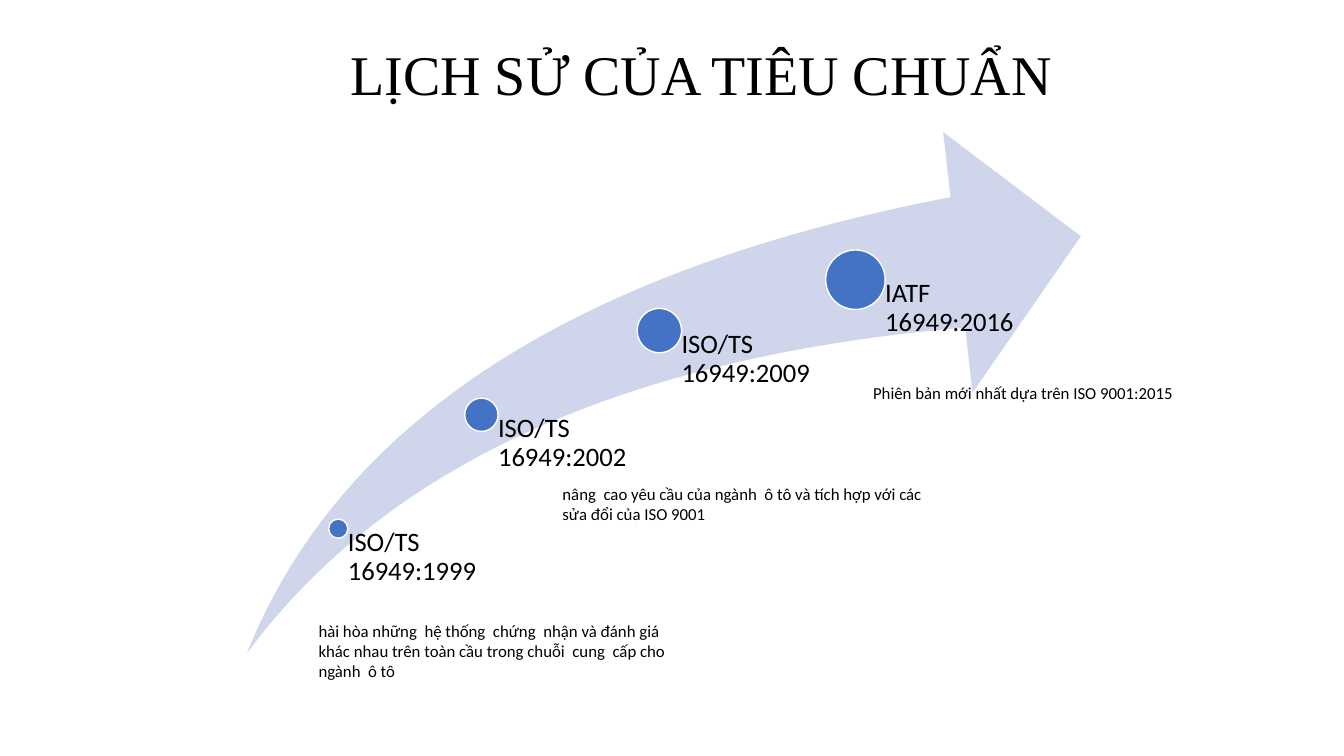
"""Build a slide on the history of the automotive quality standard."""
from pptx import Presentation
from pptx.dml.color import RGBColor as RGB
from pptx.enum.shapes import MSO_SHAPE as Shape
from pptx.enum.text import MSO_ANCHOR as Anchor, MSO_AUTO_SIZE as Fit, PP_ALIGN as Align
from pptx.util import Inches, Pt

BLACK = RGB(0x00, 0x00, 0x00)
WHITE = RGB(0xFF, 0xFF, 0xFF)
BLUE = RGB(0x44, 0x72, 0xC4)
PALE = RGB(0xCF, 0xD5, 0xEA)

deck = Presentation()
deck.slide_width, deck.slide_height = Inches(13.33), Inches(7.5)
COL, ROW = deck.slide_width / 100, deck.slide_height / 100


def area(left, top, width, height):
    """Turn percentages of the slide into lengths."""
    return int(left * COL), int(top * ROW), int(width * COL), int(height * ROW)


def write(frame, text, size, font="Calibri"):
    """Fill a text frame with one paragraph and return it."""
    frame.word_wrap = True
    frame.text = text
    para = frame.paragraphs[0]
    para.font.size, para.font.name = Pt(size), font
    para.font.color.rgb = BLACK
    return para


slide = deck.slides.add_slide(deck.slide_layouts[5])
title = slide.shapes.title
title.left, title.top, title.width, title.height = area(7.88, 5.47, 88.6, 9.47)
head = write(title.text_frame, "LỊCH SỬ CỦA TIÊU CHUẨN", 40, "Times New Roman")
head.alignment, head.line_spacing = Align.CENTER, 0.9
title.text_frame.vertical_anchor = Anchor.BOTTOM
title.text_frame.auto_size = Fit.NONE

group = slide.shapes.add_group_shape().shapes
base = 86.4
swoosh = group.add_shape(Shape.SWOOSH_ARROW, *area(18.38, 17.47, 62.04, base - 17.47))
swoosh.adjustments[0] = swoosh.adjustments[1] = 0.25
swoosh.shadow.inherit = False
swoosh.fill.solid()
swoosh.fill.fore_color.rgb = PALE
swoosh.line.fill.background()

stages = [
    ("ISO/TS 16949:1999", 25.17, 69.93, 1.43, 10.58),
    ("ISO/TS 16949:2002", 35.82, 54.87, 2.48, 13.05),
    ("ISO/TS 16949:2009", 49.06, 43.73, 3.3, 13.05),
    ("IATF 16949:2016", 63.65, 37, 4.43, 13.05),
]
for name, mid, level, size, width in stages:
    high = size * COL / ROW
    dot = group.add_shape(Shape.OVAL, *area(mid - size / 2, level - high / 2, size, high))
    dot.shadow.inherit = False
    dot.fill.solid()
    dot.fill.fore_color.rgb = BLUE
    dot.line.color.rgb, dot.line.width = WHITE, Pt(1)
    frame = group.add_textbox(*area(mid, level, width, base - level)).text_frame
    frame.margin_left = int(size / 2 * COL)
    frame.margin_top = frame.margin_right = frame.margin_bottom = 0
    write(frame, name, 19).line_spacing = 0.9

notes = [
    ("hài hòa những  hệ thống  chứng  nhận và đánh giá khác nhau trên toàn cầu "
     "trong chuỗi  cung  cấp cho ngành  ô tô", 22.96, 81.47, 9.47),
    ("nâng  cao yêu cầu của ngành  ô tô và tích hợp với các sửa đổi của ISO 9001",
     41.11, 63.33, 6.67),
    ("Phiên bản mới nhất dựa trên ISO 9001:2015", 64.22, 50, 4),
]
for text, left, top, height in notes:
    frame = slide.shapes.add_textbox(*area(left, top, 29.26, height)).text_frame
    write(frame, text, 12)
    frame.auto_size = Fit.SHAPE_TO_FIT_TEXT

deck.save("out.pptx")
